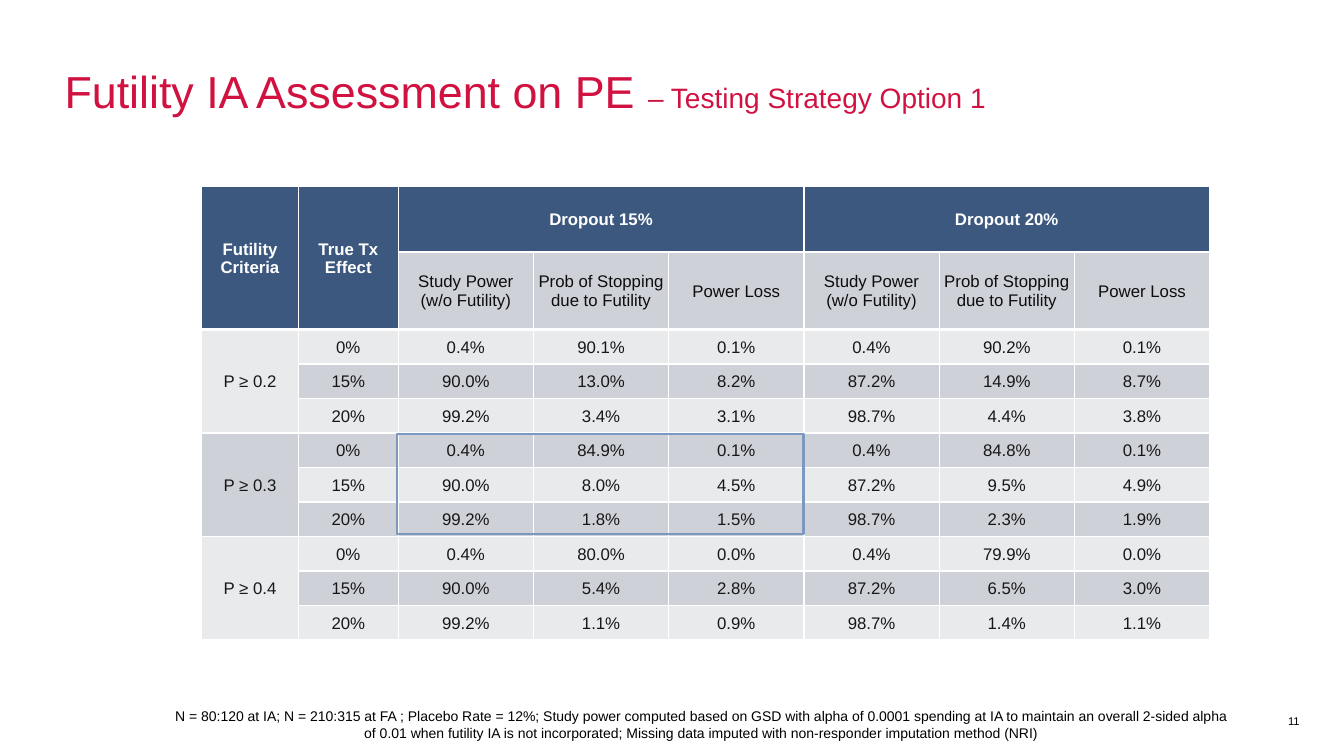
from dataclasses import dataclass

from lxml import etree
from pptx import Presentation
from pptx.dml.color import RGBColor
from pptx.enum.shapes import MSO_SHAPE
from pptx.enum.text import MSO_ANCHOR, PP_ALIGN
from pptx.oxml.ns import qn
from pptx.util import Inches, Pt

RECT = MSO_SHAPE.RECTANGLE
MIDDLE, TOP, BOTTOM = MSO_ANCHOR.MIDDLE, MSO_ANCHOR.TOP, MSO_ANCHOR.BOTTOM
LEFT, CENTER, RIGHT = PP_ALIGN.LEFT, PP_ALIGN.CENTER, PP_ALIGN.RIGHT

TITLE = "Futility IA Assessment on PE "
SUBTITLE = "– Testing Strategy Option 1"
FOOTNOTE = (
    "N = 80:120 at IA; N = 210:315 at FA ; Placebo Rate = 12%; "
    "Study power computed based on GSD with alpha of 0.0001 spending at IA "
    "to maintain an overall 2-sided alpha of 0.01 when futility IA is not "
    "incorporated; Missing data imputed with non-responder imputation method (NRI)"
)
PAGE = "11"
KEYS = ["Futility Criteria", "True Tx Effect"]
DROPOUTS = ["Dropout 15%", "Dropout 20%"]
MEASURES = ["Study Power\n(w/o Futility)", "Prob of Stopping due to Futility", "Power Loss"]
RESULTS = {
    "P ≥ 0.2": [
        ("0%", "0.4%", "90.1%", "0.1%", "0.4%", "90.2%", "0.1%"),
        ("15%", "90.0%", "13.0%", "8.2%", "87.2%", "14.9%", "8.7%"),
        ("20%", "99.2%", "3.4%", "3.1%", "98.7%", "4.4%", "3.8%"),
    ],
    "P ≥ 0.3": [
        ("0%", "0.4%", "84.9%", "0.1%", "0.4%", "84.8%", "0.1%"),
        ("15%", "90.0%", "8.0%", "4.5%", "87.2%", "9.5%", "4.9%"),
        ("20%", "99.2%", "1.8%", "1.5%", "98.7%", "2.3%", "1.9%"),
    ],
    "P ≥ 0.4": [
        ("0%", "0.4%", "80.0%", "0.0%", "0.4%", "79.9%", "0.0%"),
        ("15%", "90.0%", "5.4%", "2.8%", "87.2%", "6.5%", "3.0%"),
        ("20%", "99.2%", "1.1%", "0.9%", "98.7%", "1.4%", "1.1%"),
    ],
}


@dataclass(frozen=True)
class Theme:
    font: str = "Arial"
    title: str = "D11241"
    header: str = "3C587F"
    dark: str = "CED1D8"
    light: str = "E8EAEC"
    white: str = "FFFFFF"
    black: str = "000000"
    measure: str = "0D0D0D"
    value: str = "181717"
    highlight: str = "7B98C1"
    title_size: int = 32
    subtitle_size: int = 20
    table_size: int = 12
    note_size: int = 10
    page_size: int = 8


T = Theme()
TABLE_BOX = (2, 1.85, 10, 4.5)
HIGHLIGHT_BOX = (3.94, 4.31, 4.03, 0.99)
KEY_WIDTHS = [0.96, 0.99]
HEADER_HEIGHTS = [0.65, 0.77]


def box(*lengths):
    return [Inches(v) for v in lengths]


def write(tf, text, *, size, color, bold=False, align=LEFT, anchor=TOP, append=False):
    tf.word_wrap = True
    tf.vertical_anchor = anchor
    for i, line in enumerate(text.split("\n")):
        p = tf.paragraphs[-1] if i == 0 else tf.add_paragraph()
        p.alignment = align
        if not append:
            p.space_before = Pt(0)
        r = p.add_run()
        r.text = line
        r.font.name = T.font
        r.font.size = Pt(size)
        r.font.bold = bold
        r.font.color.rgb = RGBColor.from_string(color)


def set_borders(cell, top, bottom):
    tc_pr = cell._tc.get_or_add_tcPr()
    widths = {"a:lnL": 1, "a:lnR": 1, "a:lnT": top, "a:lnB": bottom}
    for i, (tag, width) in enumerate(widths.items()):
        ln = etree.Element(qn(tag), w=str(Pt(width)))
        fill = etree.SubElement(ln, qn("a:solidFill"))
        etree.SubElement(fill, qn("a:srgbClr"), val=T.white)
        tc_pr.insert(i, ln)


def add_title(s):
    sp = s.shapes.title
    sp.left, sp.top, sp.width, sp.height = box(0.54, 0.36, 12.29, 0.86)
    tf = sp.text_frame
    write(tf, TITLE, size=T.title_size, color=T.title, anchor=BOTTOM)
    write(tf, SUBTITLE, size=T.subtitle_size, color=T.title, anchor=BOTTOM, append=True)
    tf.paragraphs[0].line_spacing = 0.9


def add_results(s):
    grid = [
        KEYS + [d if i == 0 else "" for d in DROPOUTS for i in range(len(MEASURES))],
        [""] * len(KEYS) + MEASURES * len(DROPOUTS),
    ]
    for criterion, rows in RESULTS.items():
        grid += [[criterion if i == 0 else "", *row] for i, row in enumerate(rows)]
    n_rows, n_cols = len(grid), len(grid[0])
    n_head, n_keys = len(HEADER_HEIGHTS), len(KEYS)

    table = s.shapes.add_table(n_rows, n_cols, *box(*TABLE_BOX)).table
    table.first_row = table.horz_banding = False
    value_width = (TABLE_BOX[2] - sum(KEY_WIDTHS)) / (n_cols - n_keys)
    value_height = (TABLE_BOX[3] - sum(HEADER_HEIGHTS)) / (n_rows - n_head)
    for col, width in zip(table.columns, KEY_WIDTHS + [value_width] * (n_cols - n_keys)):
        col.width = Inches(width)
    for row, height in zip(table.rows, HEADER_HEIGHTS + [value_height] * (n_rows - n_head)):
        row.height = Inches(height)

    spans = {(0, c): (n_head, 1) for c in range(n_keys)}
    spans |= {(0, c): (1, len(MEASURES)) for c in range(n_keys, n_cols, len(MEASURES))}
    first = n_head
    for rows in RESULTS.values():
        spans[first, 0] = (len(rows), 1)
        first += len(rows)
    for (r, c), (down, across) in spans.items():
        table.cell(r, c).merge(table.cell(r + down - 1, c + across - 1))

    rules = [1, 1.5, 2.25] + [1] * (n_rows - n_head)
    for r, row in enumerate(grid):
        for c, text in enumerate(row):
            cell = table.cell(r, c)
            if r == 0 or (r < n_head and c < n_keys):
                fill, color = T.header, T.white
            elif r < n_head:
                fill, color = T.dark, T.measure
            else:
                fill, color = (T.dark if (r - n_head) % 2 else T.light), T.value
            cell.fill.solid()
            cell.fill.fore_color.rgb = RGBColor.from_string(fill)
            set_borders(cell, rules[r], rules[r + spans.get((r, c), (1, 1))[0]])
            cell.margin_left = cell.margin_right = cell.margin_top = Inches(0.01)
            cell.margin_bottom = 0
            cell.vertical_anchor = MIDDLE
            if text:
                write(cell.text_frame, text, size=T.table_size, color=color,
                      bold=r == 0, align=CENTER, anchor=MIDDLE)


def add_highlight(s):
    sp = s.shapes.add_shape(RECT, *box(*HIGHLIGHT_BOX))
    sp.shadow.inherit = False
    sp.fill.background()
    sp.line.color.rgb = RGBColor.from_string(T.highlight)
    sp.line.width = Pt(1.5)


def add_footer(s):
    note = s.shapes.add_textbox(*box(1.58, 6.97, 10.74, 0.44))
    write(note.text_frame, FOOTNOTE, size=T.note_size, color=T.black, align=CENTER)
    page = s.shapes.add_textbox(*box(12.45, 6.95, 0.52, 0.4))
    tf = page.text_frame
    tf.margin_left = tf.margin_right = Inches(0.08)
    tf.margin_top = tf.margin_bottom = Inches(0.04)
    write(tf, PAGE, size=T.page_size, color=T.black, align=RIGHT, anchor=MIDDLE)


def main():
    prs = Presentation()
    prs.slide_width, prs.slide_height = box(13.33, 7.5)
    s = prs.slides.add_slide(prs.slide_layouts[5])
    add_title(s)
    add_footer(s)
    add_results(s)
    add_highlight(s)
    prs.save("out.pptx")


if __name__ == "__main__":
    main()
